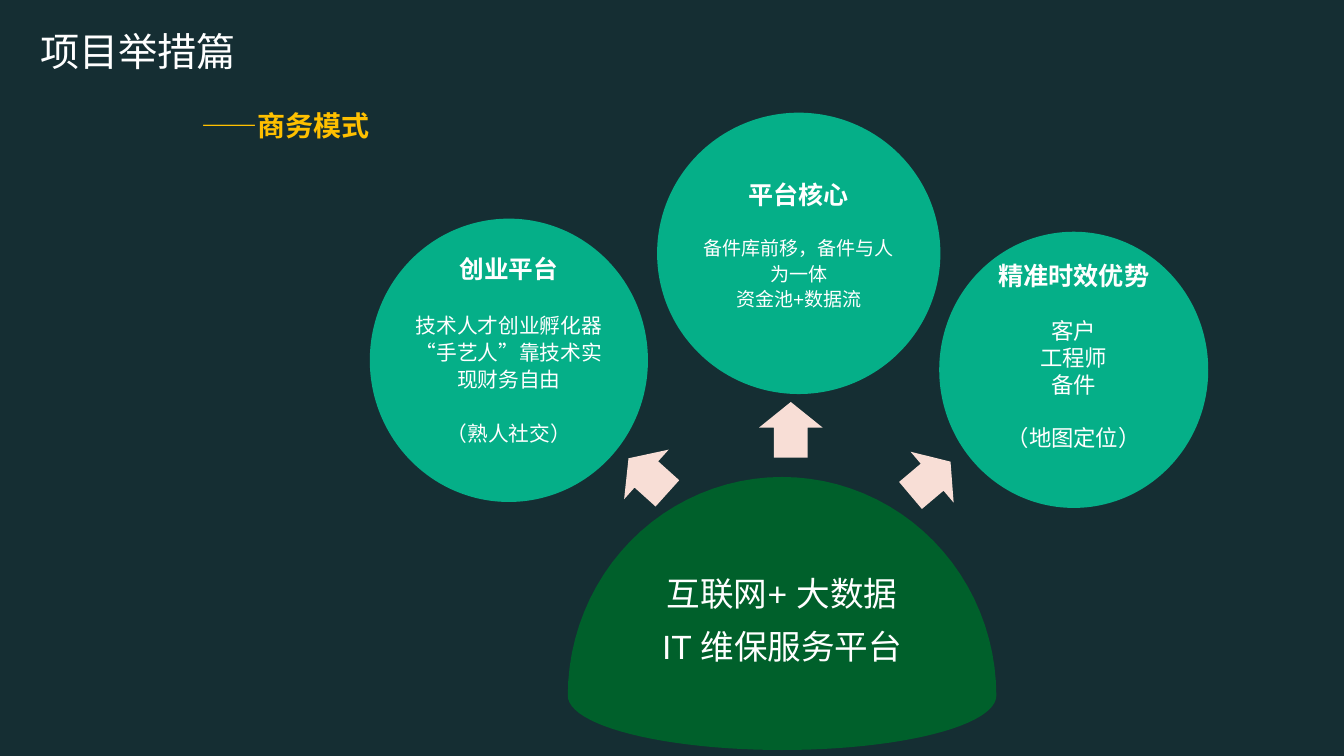
"""Build the business model slide: one platform dome feeding three circles."""
from math import cos, pi, sin

from lxml import etree
from pptx import Presentation
from pptx.dml.color import RGBColor
from pptx.enum.shapes import MSO_SHAPE
from pptx.enum.text import MSO_ANCHOR, PP_ALIGN
from pptx.oxml.ns import qn
from pptx.util import Cm, Pt

OVAL, ARROW = MSO_SHAPE.OVAL, MSO_SHAPE.UP_ARROW
TOP, MIDDLE = MSO_ANCHOR.TOP, MSO_ANCHOR.MIDDLE
LEFT, CENTER = PP_ALIGN.LEFT, PP_ALIGN.CENTER
NIGHT = RGBColor(0x15, 0x2E, 0x33)
TEAL = RGBColor(0x05, 0xAF, 0x88)
GREEN = RGBColor(0x00, 0x60, 0x2B)
PINK = RGBColor(0xF8, 0xDE, 0xD6)
GOLD = RGBColor(0xFF, 0xC0, 0x00)
WHITE = RGBColor(0xFF, 0xFF, 0xFF)
LATIN, HAN = "Arial", "Noto Sans CJK SC"

TITLE, SUB = "项目举措篇", "——商务模式"
CORE = "互联网+ 大数据\vIT 维保服务平台"
CIRCLES = [
    dict(box=(16.56, 2.84, 7.14, 7.09), head="平台核心", big=17.9, size=13.6,
         line=1.1, low=0.5, groups=[["备件库前移，备件与人为一体", "资金池+数据流"]]),
    dict(box=(9.32, 5.51, 7.01, 7.14), head="创业平台", big=17.6, size=14.8,
         line=1.1, low=0.6,
         groups=[["技术人才创业孵化器", "“手艺人”靠技术实现财务自由"], ["（熟人社交）"]]),
    dict(box=(23.67, 5.84, 6.78, 6.96), head="精准时效优势", big=18, size=16,
         line=1, low=0.7, groups=[["客户", "工程师", "备件"], ["（地图定位）"]]),
]
ARROWS = [
    ((15.49, 11.33, 1.68, 1.32), 312),
    ((19.13, 10.13, 1.6, 1.4), 0),
    ((22.61, 11.4, 1.68, 1.32), 49.8),
]
DOME = dict(x=19.71, y=17.53, wide=5.4, rise=5.51, drop=1.37)
STEPS = 96


def paint(shape, color):
    shape.shadow.inherit = False
    shape.fill.solid()
    shape.fill.fore_color.rgb = color
    shape.line.fill.background()


def frame(shape, anchor, pads):
    body = shape.text_frame
    body.word_wrap = True
    body.vertical_anchor = anchor
    body.margin_left, body.margin_top, body.margin_right, body.margin_bottom = map(Cm, pads)
    return body


def write(body, text, size, color=WHITE, bold=False, align=CENTER, line=1,
          before=0, indent=0, font=LATIN):
    para = body.paragraphs[0]
    if para.text:
        para = body.add_paragraph()
    para.text = text
    para.alignment = align
    para.line_spacing = line
    if before:
        para.space_before = Pt(before)
    if indent:
        para._p.get_or_add_pPr().set("marL", str(Cm(indent)))
    for run in para.runs:
        face = run.font
        face.size, face.bold, face.name = Pt(size), bold, font
        face.color.rgb = color
        east = etree.SubElement(run._r.get_or_add_rPr(), qn("a:ea"))
        east.set("typeface", HAN)


def add_circle(shapes, box, head, big, size, line, low, groups):
    disc = shapes.add_shape(OVAL, *map(Cm, box))
    paint(disc, TEAL)
    body = frame(disc, MIDDLE, (0, 0, 0, low))
    write(body, head, big, bold=True, line=line)
    gap = round(size * 1.18 * line, 1)
    for group in groups:
        for i, text in enumerate(group):
            write(body, text, size, line=line, before=0 if i else gap)


def add_dome(shapes, x, y, wide, rise, drop):
    points = []
    for i in range(STEPS):
        turn = 2 * pi * i / STEPS
        tall = drop if sin(turn) > 0 else rise
        points.append((Cm(x + wide * cos(turn)), Cm(y + tall * sin(turn))))
    path = shapes.build_freeform(*points[0])
    path.add_line_segments(points[1:], close=True)
    dome = path.convert_to_shape()
    paint(dome, GREEN)
    write(frame(dome, MIDDLE, (0.25, 0.13, 0.25, 0.13)), CORE, 24, line=1.3)


def main():
    deck = Presentation()
    deck.slide_width, deck.slide_height = Cm(33.87), Cm(19.05)
    slide = deck.slides.add_slide(deck.slide_layouts[6])
    slide.background.fill.solid()
    slide.background.fill.fore_color.rgb = NIGHT
    shapes = slide.shapes
    for circle in CIRCLES:
        add_circle(shapes, **circle)
    add_dome(shapes, **DOME)
    for box, turn in ARROWS:
        arrow = shapes.add_shape(ARROW, *map(Cm, box))
        arrow.adjustments[0], arrow.adjustments[1] = 0.53, 0.46
        arrow.rotation = turn
        paint(arrow, PINK)
    box = shapes.add_textbox(Cm(0.76), Cm(0.56), Cm(17.4), Cm(3.18))
    body = frame(box, TOP, (0.25, 0.13, 0.25, 0.13))
    write(body, TITLE, 28, align=LEFT, font=HAN)
    write(body, SUB, 20, GOLD, bold=True, align=LEFT, before=24, indent=4.06, font=HAN)
    deck.save("out.pptx")


if __name__ == "__main__":
    main()
